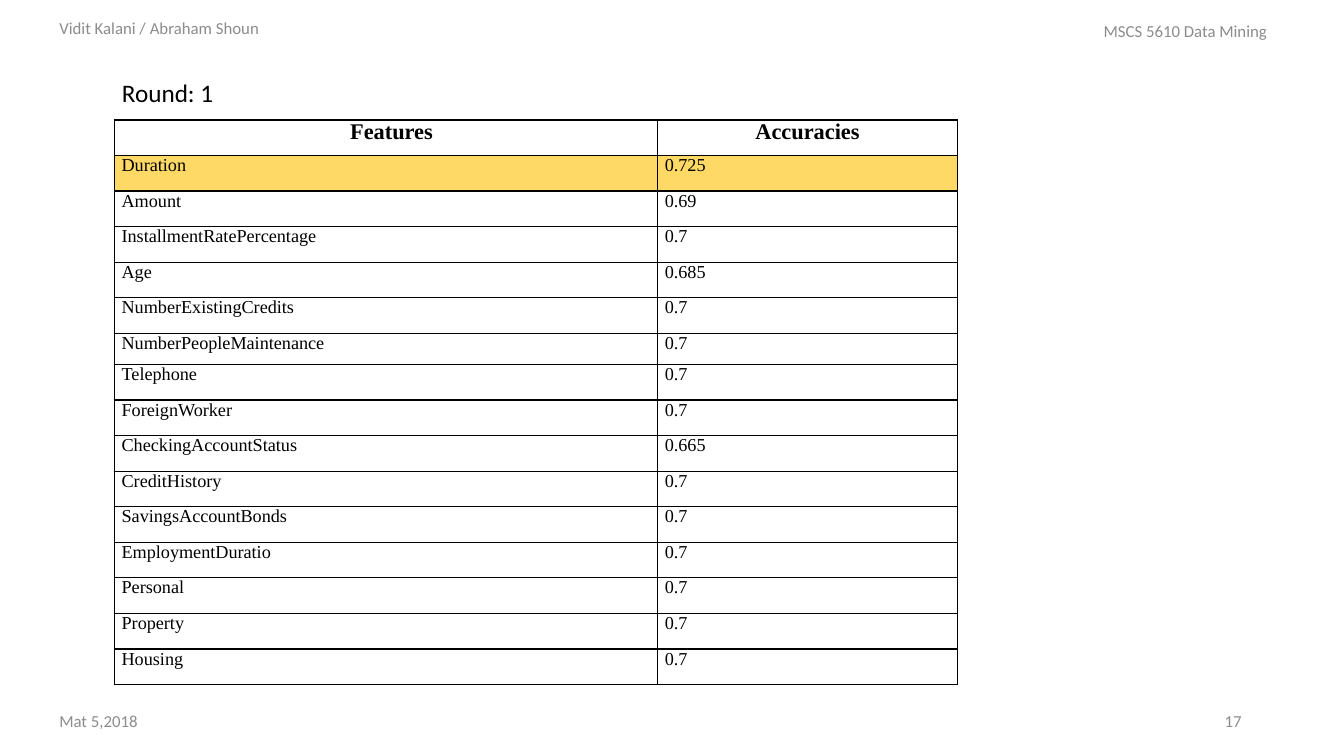
from lxml import etree
from pptx import Presentation
from pptx.dml.color import RGBColor
from pptx.enum.text import MSO_ANCHOR, PP_ALIGN
from pptx.oxml.ns import qn
from pptx.util import Pt

LEFT, CENTER, RIGHT = PP_ALIGN.LEFT, PP_ALIGN.CENTER, PP_ALIGN.RIGHT
TOP, MIDDLE = MSO_ANCHOR.TOP, MSO_ANCHOR.MIDDLE

THEME = {
    "sans": "Calibri", "serif": "Times New Roman",
    "ink": "000000", "muted": "8C8C8C", "best": "FFD966",
    "title": 18, "head": 16, "body": 13, "small": 12,
}


def put(frame, text, size="small", font="sans", color="muted",
        bold=False, align=LEFT, anchor=MIDDLE, after=0, indent=0):
    """Write one formatted paragraph into a text frame."""
    frame.word_wrap = True
    frame.vertical_anchor = anchor
    para = frame.paragraphs[0]
    para.alignment = align
    para.space_after = Pt(after)
    if indent:
        para._p.get_or_add_pPr().set("marL", str(Pt(indent)))
    run = para.add_run()
    run.text = text
    run.font.size = Pt(THEME[size])
    run.font.name = THEME[font]
    run.font.bold = bold
    run.font.color.rgb = RGBColor.from_string(THEME[color])


def frame_cell(cell):
    """Draw a thin line on all four sides of a table cell."""
    props = cell._tc.get_or_add_tcPr()
    for spot, side in enumerate(("lnL", "lnR", "lnT", "lnB")):
        line = etree.Element(qn("a:" + side), w=str(Pt(1)))
        fill = etree.SubElement(line, qn("a:solidFill"))
        etree.SubElement(fill, qn("a:srgbClr"), val=THEME["ink"])
        props.insert(spot, line)


deck = Presentation()
deck.slide_width, deck.slide_height = Pt(960), Pt(540)
slide = deck.slides.add_slide(deck.slide_layouts[6])

# Feature table, with the best score marked
scores = [
    ("Features", "Accuracies"),
    ("Duration", "0.725"),
    ("Amount", "0.69"),
    ("InstallmentRatePercentage", "0.7"),
    ("Age", "0.685"),
    ("NumberExistingCredits", "0.7"),
    ("NumberPeopleMaintenance", "0.7"),
    ("Telephone", "0.7"),
    ("ForeignWorker", "0.7"),
    ("CheckingAccountStatus", "0.665"),
    ("CreditHistory", "0.7"),
    ("SavingsAccountBonds", "0.7"),
    ("EmploymentDuratio", "0.7"),
    ("Personal", "0.7"),
    ("Property", "0.7"),
    ("Housing", "0.7"),
]
BEST_ROW, SHORT_ROW = 1, 6
widths = (388, 214.3)
heights = [22.3 if row == SHORT_ROW else 25.4 for row in range(len(scores))]

table = slide.shapes.add_table(
    len(scores), len(widths), Pt(81.7), Pt(85.7),
    Pt(sum(widths)), Pt(sum(heights))).table
table.first_row = table.horz_banding = False
for col, width in enumerate(widths):
    table.columns[col].width = Pt(width)

for row, texts in enumerate(scores):
    table.rows[row].height = Pt(heights[row])
    head = row == 0
    for col, text in enumerate(texts):
        cell = table.cell(row, col)
        cell.margin_left = cell.margin_right = Pt(5.2)
        cell.margin_top = cell.margin_bottom = 0
        if row == BEST_ROW:
            cell.fill.solid()
            cell.fill.fore_color.rgb = RGBColor.from_string(THEME["best"])
        else:
            cell.fill.background()
        frame_cell(cell)
        put(cell.text_frame, text, size="head" if head else "body",
            font="serif", color="ink", bold=head,
            align=CENTER if head else LEFT, anchor=TOP, after=1.1,
            indent=8 if head and col == 0 else 0)

# Title, header and footer texts
labels = [
    ("Round: 1", (80, 52, 641, 32),
     {"size": "title", "color": "ink", "anchor": TOP}),
    ("Mat 5,2018", (35.3, 500.5, 216, 28.75), {}),
    ("17", (678, 500.5, 216, 28.75), {"align": RIGHT}),
    ("Vidit Kalani / Abraham Shoun", (35.3, 5.8, 216, 28.75), {}),
    ("MSCS 5610 Data Mining", (781.2, 8, 178, 28.75), {}),
]
for text, place, style in labels:
    box = slide.shapes.add_textbox(*map(Pt, place))
    put(box.text_frame, text, **style)

deck.save("out.pptx")
